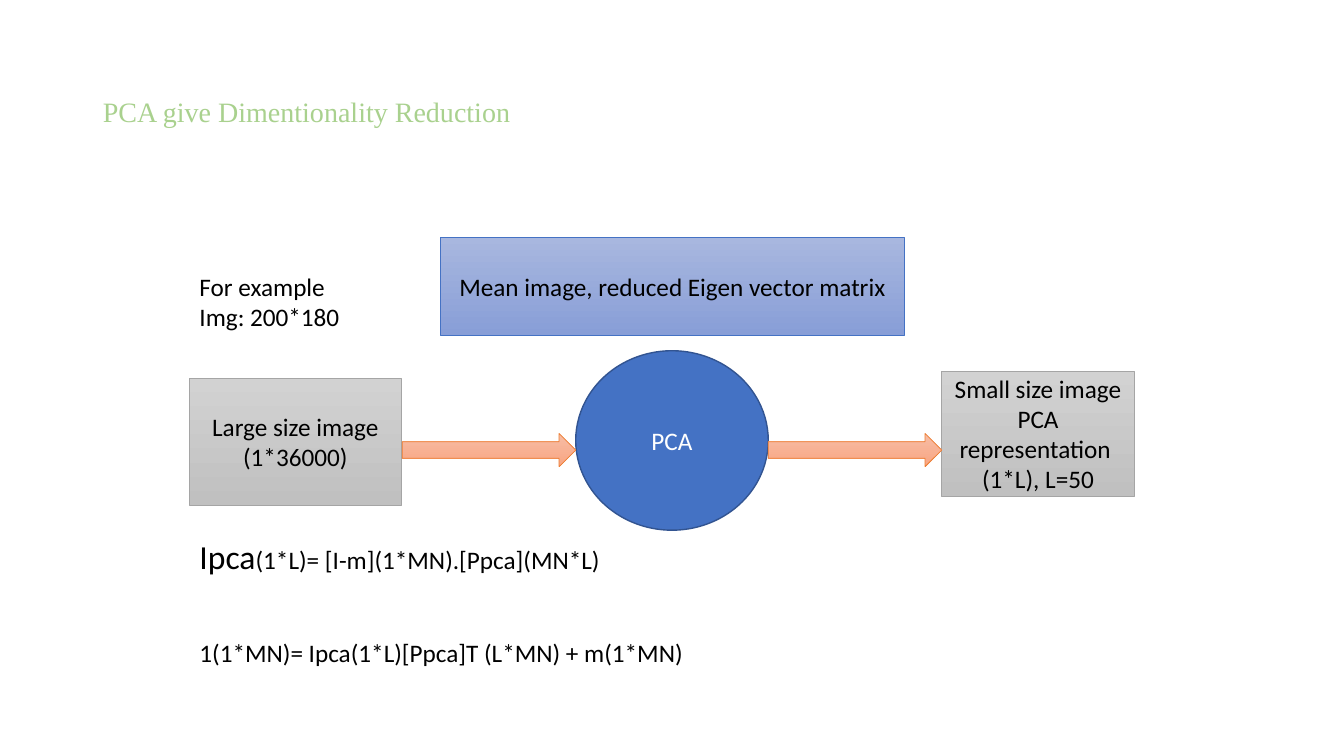
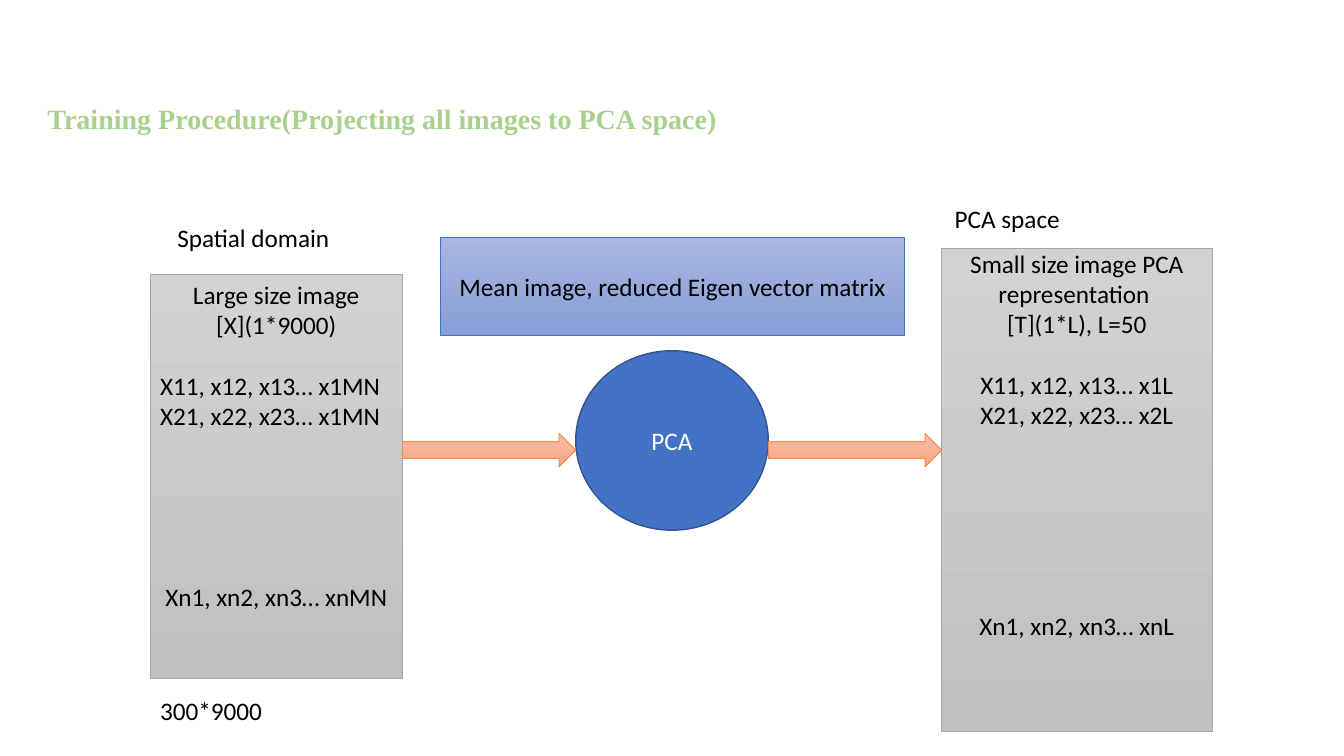
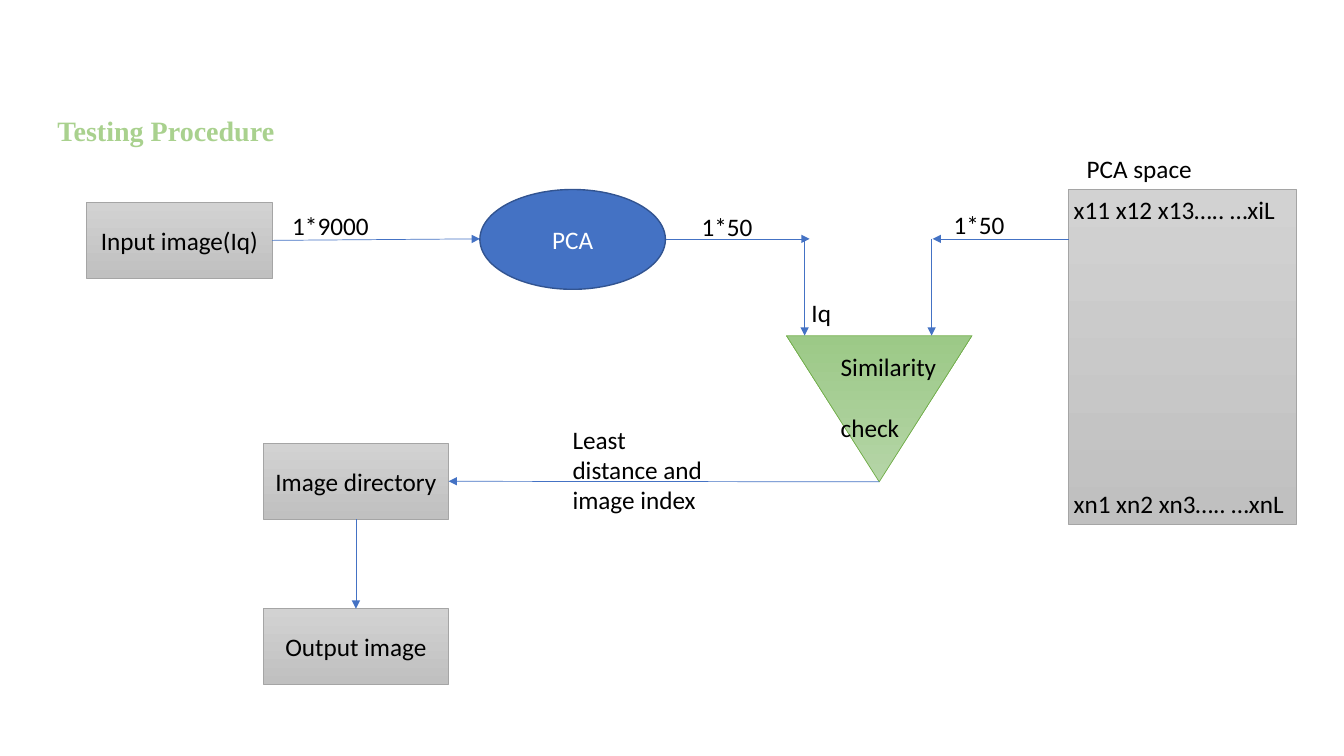
from dataclasses import dataclass

from lxml import etree
from pptx import Presentation
from pptx.dml.color import RGBColor
from pptx.enum.shapes import MSO_CONNECTOR, MSO_SHAPE
from pptx.enum.text import MSO_ANCHOR, PP_ALIGN
from pptx.oxml.ns import qn
from pptx.util import Inches, Pt

RECT, OVAL = MSO_SHAPE.RECTANGLE, MSO_SHAPE.OVAL
ARROW, TRIANGLE = MSO_SHAPE.RIGHT_ARROW, MSO_SHAPE.ISOSCELES_TRIANGLE
STRAIGHT = MSO_CONNECTOR.STRAIGHT
LEFT, CENTER = PP_ALIGN.LEFT, PP_ALIGN.CENTER
TOP, MIDDLE = MSO_ANCHOR.TOP, MSO_ANCHOR.MIDDLE
SIDE_TOP, SIDE_BOTTOM, SIDE_RIGHT = 0, 2, 3
TITLE_ONLY = 5


@dataclass(frozen=True)
class Paint:
    """Colours of a shape: gradient from start to end, or solid if they agree."""
    start: str
    end: str
    line: str
    line_width: float = 0.5
    text: str = "000000"


@dataclass(frozen=True)
class Theme:
    title_font: str = "Times New Roman"
    body_font: str = "Calibri"
    title_size: float = 20
    body_size: float = 18
    lead_size: float = 24
    line_height: float = 21.6
    title_color: str = "A9D18E"
    text_color: str = "000000"
    connector: str = "4472C4"
    grey: Paint = Paint("D2D2D2", "C0C0C0", "A5A5A5")
    blue: Paint = Paint("A8B7DF", "889ED7", "4472C4")
    solid_blue: Paint = Paint("4472C4", "4472C4", "325491", 1, "FFFFFF")
    orange: Paint = Paint("F7BDA5", "F8A582", "ED7D31")
    green: Paint = Paint("B5D5A7", "9CC987", "70AD47")


THEME = Theme()


@dataclass(frozen=True)
class Box:
    left: float
    top: float
    width: float
    height: float

    def lengths(self) -> tuple:
        return tuple(Inches(v) for v in (self.left, self.top, self.width, self.height))


@dataclass(frozen=True)
class Line:
    """One paragraph; gap counts the line heights left free above it."""
    text: str
    gap: int = 0
    align: PP_ALIGN = CENTER
    lead: str = ""


@dataclass(frozen=True)
class Label:
    box: Box
    lines: tuple


@dataclass(frozen=True)
class Link:
    """An arrow; start and end may be joined to a (shape, side) pair."""
    start: tuple
    end: tuple
    start_at: tuple = ()
    end_at: tuple = ()


def rgb(value: str) -> RGBColor:
    return RGBColor.from_string(value)


def centered(*texts: str) -> tuple:
    return tuple(Line(text) for text in texts)


def label(left: float, top: float, width: float, height: float, *texts: str) -> Label:
    return Label(Box(left, top, width, height), tuple(Line(t, align=LEFT) for t in texts))


def write(frame, lines: tuple, color: str) -> None:
    frame.word_wrap = True
    for index, line in enumerate(lines):
        paragraph = frame.paragraphs[0] if index == 0 else frame.add_paragraph()
        paragraph.alignment = line.align
        paragraph.space_before = Pt(line.gap * THEME.line_height)
        paragraph.font.name = THEME.body_font
        paragraph.font.size = Pt(THEME.body_size)
        paragraph.font.color.rgb = rgb(color)
        if line.lead:
            lead = paragraph.add_run()
            lead.text = line.lead
            lead.font.size = Pt(THEME.lead_size)
        paragraph.add_run().text = line.text


def add_titled_slide(deck, title: str, left: float, top: float, bold: bool = True):
    slide = deck.slides.add_slide(deck.slide_layouts[TITLE_ONLY])
    heading = slide.shapes.title
    heading.left, heading.top, heading.width, heading.height = Box(left, top, 11.5, 1.45).lengths()
    heading.text_frame.text = title
    heading.text_frame.vertical_anchor = MIDDLE
    paragraph = heading.text_frame.paragraphs[0]
    paragraph.alignment = LEFT
    paragraph.line_spacing = 0.9
    paragraph.font.name = THEME.title_font
    paragraph.font.size = Pt(THEME.title_size)
    paragraph.font.bold = bold
    paragraph.font.color.rgb = rgb(THEME.title_color)
    return slide


def add_node(slide, kind: MSO_SHAPE, box: Box, paint: Paint, lines: tuple = (),
             anchor: MSO_ANCHOR = MIDDLE, inset: float = 0.05):
    node = slide.shapes.add_shape(kind, *box.lengths())
    node.shadow.inherit = False
    if paint.start == paint.end:
        node.fill.solid()
        node.fill.fore_color.rgb = rgb(paint.start)
    else:
        node.fill.gradient()
        node.fill.gradient_angle = 270
        for stop, color in zip(node.fill.gradient_stops, (paint.start, paint.end)):
            stop.color.rgb = rgb(color)
    node.line.color.rgb = rgb(paint.line)
    node.line.width = Pt(paint.line_width)
    if lines:
        node.text_frame.vertical_anchor = anchor
        node.text_frame.margin_top = Inches(inset)
        write(node.text_frame, lines, paint.text)
    return node


def add_labels(slide, labels: tuple) -> None:
    for item in labels:
        frame = slide.shapes.add_textbox(*item.box.lengths()).text_frame
        write(frame, item.lines, THEME.text_color)


def add_link(slide, link: Link) -> None:
    ends = (Inches(v) for v in (*link.start, *link.end))
    connector = slide.shapes.add_connector(STRAIGHT, *ends)
    if link.start_at:
        connector.begin_connect(*link.start_at)
    if link.end_at:
        connector.end_connect(*link.end_at)
    connector.line.color.rgb = rgb(THEME.connector)
    connector.line.width = Pt(0.5)
    outline = connector.line._get_or_add_ln()
    etree.SubElement(outline, qn("a:tailEnd"), type="triangle")
    etree.SubElement(connector._element.spPr, qn("a:effectLst"))


def add_pca_stage(slide) -> None:
    """Draw the PCA circle, its parameters and the arrows into and out of it."""
    add_node(slide, OVAL, Box(5.71, 3.48, 1.91, 1.78), THEME.solid_blue, centered("PCA"))
    add_node(slide, RECT, Box(4.37, 2.36, 4.6, 0.97), THEME.blue,
             centered("Mean image, reduced Eigen vector matrix"))
    for left in (3.99, 7.62):
        add_node(slide, ARROW, Box(left, 4.3, 1.72, 0.33), THEME.orange)


def build_reduction(deck) -> None:
    slide = add_titled_slide(deck, "PCA give Dimentionality Reduction", 0.92, 0.4, bold=False)
    add_node(slide, RECT, Box(1.88, 3.75, 2.1, 1.26), THEME.grey,
             centered("Large size image", "(1*36000)"))
    add_node(slide, RECT, Box(9.34, 3.68, 1.91, 1.24), THEME.grey,
             centered("Small size image PCA representation ", "(1*L), L=50"))
    add_pca_stage(slide)
    equations = (
        Line("(1*L)= [I-m](1*MN).[Ppca](MN*L)", align=LEFT, lead="Ipca"),
        Line("1(1*MN)= Ipca(1*L)[Ppca]T (L*MN) + m(1*MN)", gap=2, align=LEFT),
    )
    add_labels(slide, (
        label(1.88, 2.64, 2.91, 0.71, "For example", "Img: 200*180"),
        Label(Box(1.88, 5.27, 9.04, 1.41), equations),
    ))


def build_training(deck) -> None:
    slide = add_titled_slide(
        deck, "Training Procedure(Projecting all images to PCA space)", 0.37, 0.47)
    spatial_rows = centered("Large size image", "[X](1*9000)") + (
        Line("X11, x12, x13… x1MN", gap=1, align=LEFT),
        Line("X21, x22, x23… x1MN", align=LEFT),
        Line("Xn1, xn2, xn3… xnMN", gap=5),
    )
    pca_rows = centered("Small size image PCA representation ", "[T](1*L), L=50") + (
        Line("X11, x12, x13… x1L", gap=1),
        Line("X21, x22, x23… x2L"),
        Line("Xn1, xn2, xn3… xnL", gap=6),
    )
    add_node(slide, RECT, Box(1.49, 2.72, 2.5, 4.01), THEME.grey, spatial_rows, TOP)
    add_node(slide, RECT, Box(9.34, 2.46, 2.68, 4.8), THEME.grey, pca_rows, TOP, inset=0)
    add_pca_stage(slide)
    add_labels(slide, (
        label(1.49, 6.85, 2.38, 0.4, "300*9000"),
        label(1.66, 2.16, 2.38, 0.4, "Spatial domain"),
        label(9.37, 1.97, 2.38, 0.4, "PCA space"),
    ))


def build_testing(deck) -> None:
    slide = add_titled_slide(deck, "Testing Procedure", 0.47, 0.59)
    query, directory, _output = steps = [
        add_node(slide, RECT, Box(left, top, 1.84, 0.75), THEME.grey, centered(text))
        for left, top, text in (
            (0.86, 2.01, "Input image(Iq)"),
            (2.61, 4.4, "Image directory"),
            (2.61, 6.04, "Output image"),
        )
    ]
    add_node(slide, OVAL, Box(4.76, 1.88, 1.84, 0.99), THEME.solid_blue, centered("PCA"))
    similarity = add_node(slide, TRIANGLE, Box(7.8, 3.33, 1.84, 1.45), THEME.green)
    similarity.rotation = 180
    add_node(slide, RECT, Box(10.6, 1.88, 2.26, 3.32), THEME.grey)

    flow_y, check_y = 2.37, 3.33
    for link in (
        Link((2.7, 2.39), (4.76, flow_y), start_at=(query, SIDE_RIGHT)),
        Link((6.61, flow_y), (8.03, flow_y)),
        Link((7.98, flow_y), (7.98, check_y)),
        Link((10.6, flow_y), (9.25, flow_y)),
        Link((9.24, flow_y), (9.24, check_y)),
        Link((8.72, 4.78), (4.46, 4.78), end_at=(directory, SIDE_RIGHT)),
        Link((3.53, 5.15), (3.53, 6.04), (directory, SIDE_BOTTOM), (steps[-1], SIDE_TOP)),
    ):
        add_link(slide, link)

    add_labels(slide, (
        label(2.8, 2.04, 1.54, 0.4, "1*9000"),
        label(6.86, 2.05, 1.54, 0.4, "1*50"),
        label(9.36, 2.03, 1.54, 0.4, "1*50"),
        label(7.95, 2.9, 1.09, 0.4, "Iq"),
        Label(Box(8.24, 3.44, 1.26, 1.01),
              (Line("Similarity", align=LEFT), Line("check", gap=1, align=LEFT))),
        label(5.58, 4.16, 1.61, 1.01, "Least distance and image index"),
        label(10.68, 1.47, 1.54, 0.4, "PCA space"),
        label(10.55, 1.88, 2.31, 0.4, "x11 x12 x13….. …xiL"),
        label(10.55, 4.8, 2.31, 0.4, "xn1 xn2 xn3….. …xnL"),
    ))


def main() -> None:
    deck = Presentation()
    deck.slide_width, deck.slide_height = Inches(13.33), Inches(7.5)
    for build in (build_reduction, build_training, build_testing):
        build(deck)
    deck.save("out.pptx")


if __name__ == "__main__":
    main()
